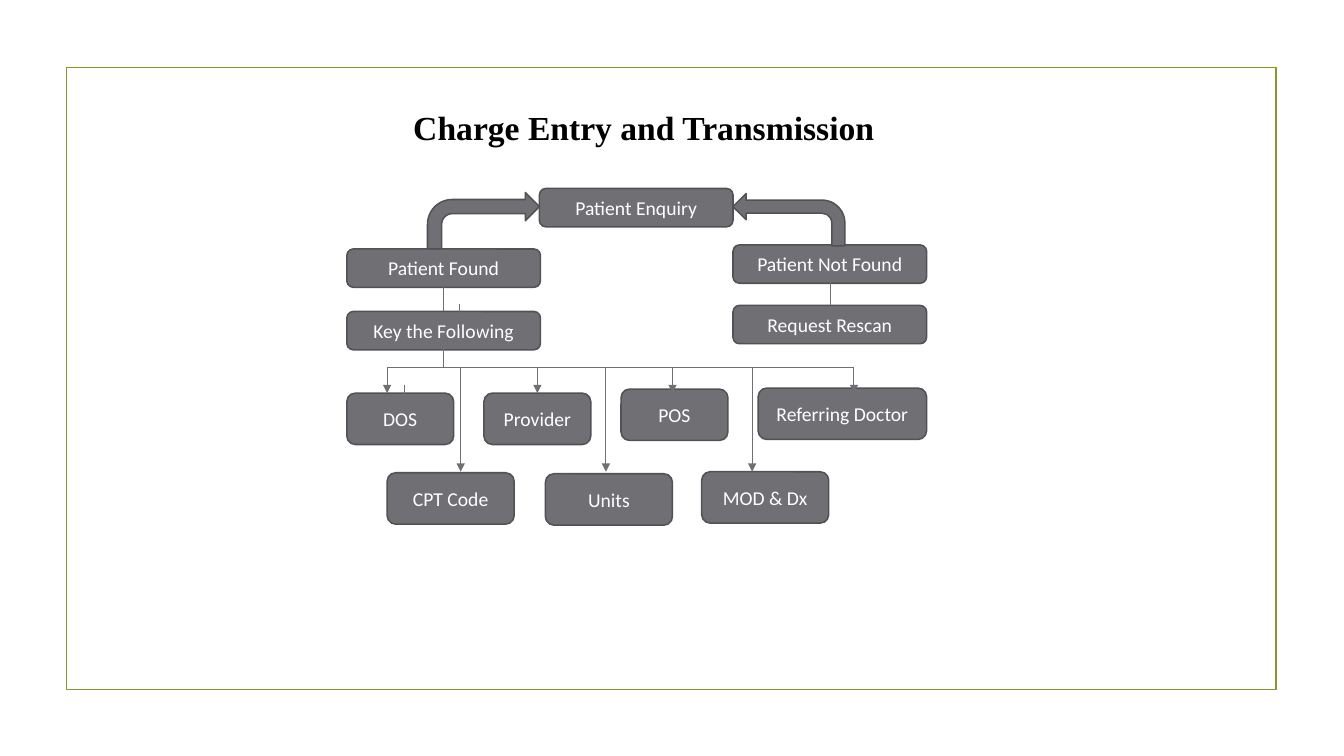
from dataclasses import dataclass

from lxml.etree import SubElement
from pptx import Presentation
from pptx.dml.color import RGBColor
from pptx.enum.shapes import MSO_CONNECTOR, MSO_SHAPE
from pptx.enum.text import MSO_ANCHOR, PP_ALIGN
from pptx.oxml.ns import qn
from pptx.shapes.autoshape import Shape
from pptx.slide import Slide
from pptx.util import Inches, Pt


@dataclass(frozen=True)
class Theme:
    """Colours, fonts, type sizes and line widths."""
    frame: RGBColor = RGBColor(0x83, 0x99, 0x2A)
    fill: RGBColor = RGBColor(0x6F, 0x6F, 0x74)
    outline: RGBColor = RGBColor(0x52, 0x52, 0x56)
    title: RGBColor = RGBColor(0, 0, 0)
    label: RGBColor = RGBColor(0xFF, 0xFF, 0xFF)
    title_font: str = "Times New Roman"
    label_font: str = "Calibri"
    title_size: float = 24
    label_size: float = 14
    frame_width: float = 1.25
    outline_width: float = 1.1
    link_width: float = 0.75


@dataclass(frozen=True)
class Size:
    """Width and height of a kind of box."""
    width: float
    height: float


@dataclass(frozen=True)
class Step:
    """A labelled box of the flow."""
    label: str
    left: float
    top: float
    size: Size


@dataclass(frozen=True)
class Turn:
    """A bent arrow pointing at the enquiry."""
    left: float
    top: float
    height: float
    mirrored: bool


@dataclass(frozen=True)
class Link:
    """A vertical line, with or without an arrowhead."""
    x: float
    top: float
    bottom: float
    arrow: bool = False


THEME = Theme()
STAGE = Size(1.92, 0.38)
FIELD = Size(1.06, 0.51)
WIDE_FIELD = Size(1.67, 0.51)
LOWER_FIELD = Size(1.26, 0.51)
LEFT, MIDDLE, RIGHT = 3.44, 5.35, 7.27
RAIL_LEFT, RAIL_RIGHT, RAIL_Y = 3.84, 8.47, 3.65
FIELD_PITCH = 1.36
TURN_WIDTH = 1.11

STEPS = (
    Step("Patient Enquiry", MIDDLE, 1.87, STAGE),
    Step("Patient Found", LEFT, 2.47, STAGE),
    Step("Patient Not Found", RIGHT, 2.43, STAGE),
    Step("Key the Following", LEFT, 3.09, STAGE),
    Step("Request Rescan", RIGHT, 3.03, STAGE),
    Step("DOS", LEFT, 3.9, FIELD),
    Step("Provider", LEFT + FIELD_PITCH, 3.9, FIELD),
    Step("POS", LEFT + 2 * FIELD_PITCH, 3.86, FIELD),
    Step("Referring Doctor", LEFT + 3 * FIELD_PITCH, 3.85, WIDE_FIELD),
    Step("CPT Code", RAIL_LEFT, 4.69, LOWER_FIELD),
    Step("Units", 5.41, 4.7, LOWER_FIELD),
    Step("MOD & Dx", 6.96, 4.68, LOWER_FIELD),
)
TURNS = (Turn(4.24, 1.91, 0.56, False), Turn(RIGHT, 1.92, 0.52, True))
LINKS = (
    Link(4.4, 2.85, 3.09),
    Link(4.4, 3.41, RAIL_Y),
    Link(8.24, 2.79, 3.03),
    Link(4.56, 3.02, 3.26),
    Link(4.73, 3.19, 3.43),
    Link(4.01, 3.82, 4.06, True),
    *(Link(x, RAIL_Y, 3.9, True) for x in (RAIL_LEFT, 5.33, 6.67, 8.47)),
    *(Link(x, RAIL_Y, 4.68, True) for x in (4.57, 6.01, 7.46)),
)


def add_frame(page: Slide) -> None:
    """Draw the border around the page."""
    frame = page.shapes.add_shape(
        MSO_SHAPE.RECTANGLE, Inches(0.66), Inches(0.67), Inches(12), Inches(6.17))
    frame.shadow.inherit = False
    frame.fill.background()
    frame.line.color.rgb = THEME.frame
    frame.line.width = Pt(THEME.frame_width)


def add_title(page: Slide, text: str) -> None:
    """Write the heading."""
    box = page.shapes.add_textbox(Inches(3.8), Inches(0.81), Inches(8.01), Inches(0.71))
    box.text_frame.word_wrap = True
    para = box.text_frame.paragraphs[0]
    para.line_spacing = 1.5
    properties = para._p.get_or_add_pPr()
    properties.set("marL", str(Inches(0.2)))
    properties.set("indent", "0")
    span = para.add_run()
    span.text = text
    span.font.name = THEME.title_font
    span.font.size = Pt(THEME.title_size)
    span.font.bold = True
    span.font.color.rgb = THEME.title


def add_block(page: Slide, kind: MSO_SHAPE, left: float, top: float, size: Size) -> Shape:
    """Draw a filled and outlined shape."""
    block = page.shapes.add_shape(
        kind, Inches(left), Inches(top), Inches(size.width), Inches(size.height))
    block.shadow.inherit = False
    block.fill.solid()
    block.fill.fore_color.rgb = THEME.fill
    block.line.color.rgb = THEME.outline
    block.line.width = Pt(THEME.outline_width)
    return block


def add_step(page: Slide, step: Step) -> None:
    """Draw a box with its label."""
    box = add_block(page, MSO_SHAPE.ROUNDED_RECTANGLE, step.left, step.top, step.size)
    box.text_frame.word_wrap = True
    box.text_frame.vertical_anchor = MSO_ANCHOR.MIDDLE
    para = box.text_frame.paragraphs[0]
    para.alignment = PP_ALIGN.CENTER
    span = para.add_run()
    span.text = step.label
    span.font.name = THEME.label_font
    span.font.size = Pt(THEME.label_size)
    span.font.color.rgb = THEME.label


def add_turn(page: Slide, turn: Turn) -> None:
    """Draw a bent arrow."""
    size = Size(TURN_WIDTH, turn.height)
    block = add_block(page, MSO_SHAPE.BENT_ARROW, turn.left, turn.top, size)
    if turn.mirrored:
        block._element.spPr.find(qn("a:xfrm")).set("flipH", "1")


def add_line(page: Slide, start: tuple[float, float], end: tuple[float, float],
             arrow: bool = False) -> None:
    """Draw a thin line between two points."""
    line = page.shapes.add_connector(
        MSO_CONNECTOR.STRAIGHT, *(Inches(value) for value in (*start, *end)))
    line.line.color.rgb = THEME.fill
    line.line.width = Pt(THEME.link_width)
    if arrow:
        SubElement(line.line._get_or_add_ln(), qn("a:tailEnd"), type="triangle")
    SubElement(line._element.spPr, qn("a:effectLst"))


def main() -> None:
    """Build and save the deck."""
    deck = Presentation()
    deck.slide_width = Inches(13.33)
    deck.slide_height = Inches(7.5)
    page = deck.slides.add_slide(deck.slide_layouts[6])
    add_frame(page)
    add_title(page, "Charge Entry and Transmission")
    for step in STEPS:
        add_step(page, step)
    for turn in TURNS:
        add_turn(page, turn)
    add_line(page, (RAIL_LEFT, RAIL_Y), (RAIL_RIGHT, RAIL_Y))
    for link in LINKS:
        add_line(page, (link.x, link.top), (link.x, link.bottom), link.arrow)
    deck.save("out.pptx")


if __name__ == "__main__":
    main()
